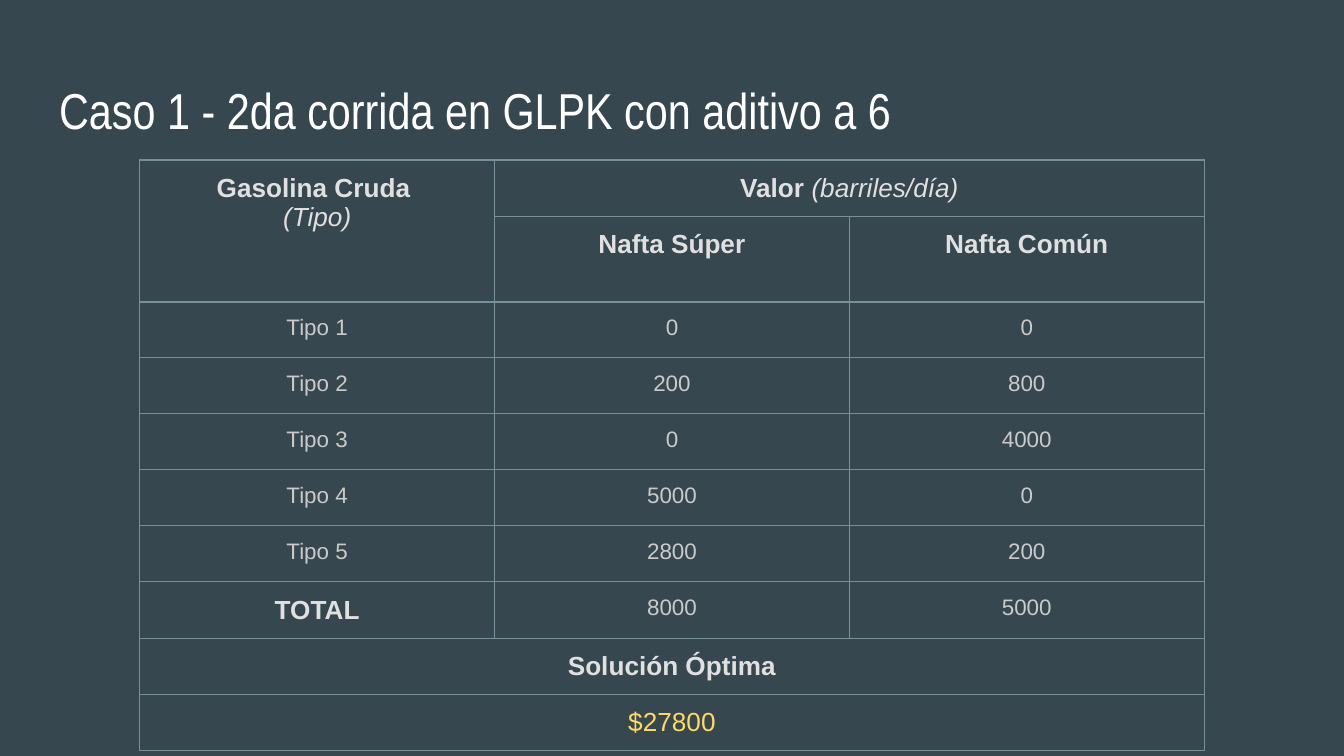
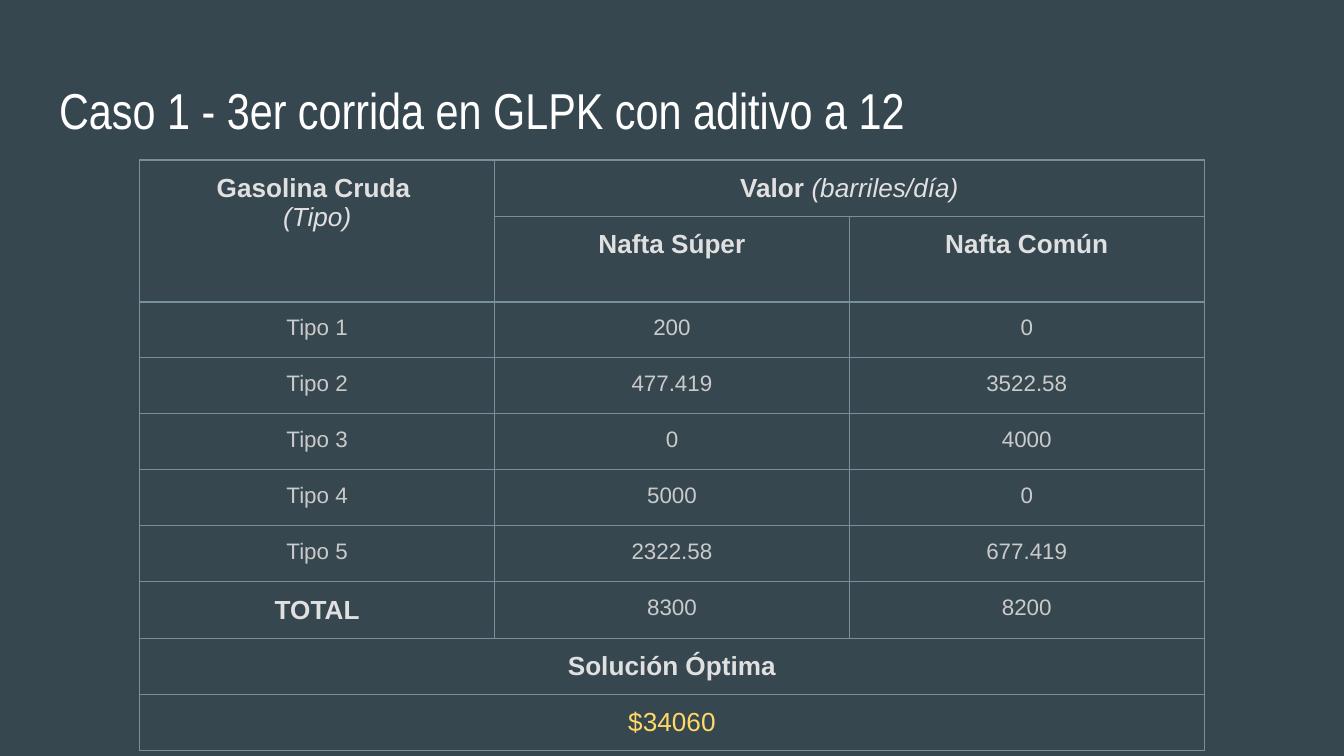
"""Builds two slides with the results of the GLPK runs."""
from lxml import etree
from pptx import Presentation
from pptx import util as u
from pptx.dml.color import RGBColor
from pptx.enum import text
from pptx.oxml import ns

COLORS = {
    "background": "37474F",
    "title": "FFFFFF",
    "heading": "E0E0E0",
    "body": "CACACA",
    "result": "FFD966",
    "border": "78909C",
}
TITLE_FONT, TABLE_FONT = "Arial Narrow", "Arial"
SLIDE_WIDTH, SLIDE_HEIGHT = u.Inches(10), u.Inches(10 * 9 / 16)
MARGIN = u.Inches(0.1)
COLUMN_WIDTH, ROW_HEIGHT = u.Inches(2.64), u.Inches(5 / 12)
COLUMN_COUNT, ROW_COUNT = 3, 10
RUNS = [
    {
        "title": "Caso 1 - 2da corrida en GLPK con aditivo a 6",
        "types": [("0", "0"), ("200", "800"), ("0", "4000"), ("5000", "0"), ("2800", "200")],
        "total": ("8000", "5000"),
        "optimum": "$27800",
    },
    {
        "title": "Caso 1 - 3er corrida en GLPK con aditivo a 12",
        "types": [("200", "0"), ("477.419", "3522.58"), ("0", "4000"), ("5000", "0"),
                  ("2322.58", "677.419")],
        "total": ("8300", "8200"),
        "optimum": "$34060",
    },
]


def add_run(paragraph, wording, size, color, font_name=TABLE_FONT, bold=False, italic=False):
    """Append one formatted run to a paragraph."""
    run = paragraph.add_run()
    run.text = wording
    run.font.name, run.font.size = font_name, u.Pt(size)
    run.font.bold, run.font.italic = bold, italic
    run.font.color.rgb = RGBColor.from_string(COLORS[color])


def set_margins(target, margin):
    """Give a cell or text frame the same margin on all sides."""
    target.margin_left = target.margin_right = margin
    target.margin_top = target.margin_bottom = margin


def add_title(slide, wording):
    """Place and fill the title placeholder."""
    title = slide.shapes.title
    title.left, title.top = u.Inches(0.34), u.Inches(0.49)
    title.width, title.height = u.Inches(9.32), u.Inches(0.63)
    frame = title.text_frame
    set_margins(frame, MARGIN)
    frame.word_wrap = True
    frame.auto_size = text.MSO_AUTO_SIZE.NONE
    frame.vertical_anchor = text.MSO_ANCHOR.TOP
    paragraph = frame.paragraphs[0]
    paragraph.alignment = text.PP_ALIGN.LEFT
    add_run(paragraph, wording, 27, "title", TITLE_FONT)


def format_cell(cell):
    """Clear the fill and draw the four borders of a cell."""
    set_margins(cell, 0 if cell.is_spanned else MARGIN)
    properties = cell._tc.get_or_add_tcPr()
    for side in ("a:lnL", "a:lnR", "a:lnT", "a:lnB"):
        line = etree.SubElement(properties, ns.qn(side), w=str(u.Pt(0.75)))
        fill = etree.SubElement(line, ns.qn("a:solidFill"))
        etree.SubElement(fill, ns.qn("a:srgbClr"), val=COLORS["border"])
    cell.fill.background()


def write_cell(cell, *lines, size=14, color="heading"):
    """Write centred lines, each a list of (wording, style) runs."""
    frame = cell.text_frame
    for index, line in enumerate(lines):
        paragraph = frame.add_paragraph() if index else frame.paragraphs[0]
        paragraph.alignment = text.PP_ALIGN.CENTER
        for wording, style in line:
            add_run(paragraph, wording, size, color, bold=style == "bold", italic=style == "italic")


def write_values(table, row, values, first_column):
    """Write plain values in a row from the given column on."""
    for column, value in enumerate(values, first_column):
        write_cell(table.cell(row, column), [(value, "plain")], size=12, color="body")


def add_results_table(slide, results):
    """Add the table of one run, with its headings, values and optimum."""
    table = slide.shapes.add_table(
        ROW_COUNT, COLUMN_COUNT, u.Inches(1.04), u.Inches(1.19),
        COLUMN_WIDTH * COLUMN_COUNT, ROW_HEIGHT * ROW_COUNT).table
    table.first_row = table.horz_banding = False
    for column in table.columns:
        column.width = COLUMN_WIDTH
    for row in table.rows:
        row.height = ROW_HEIGHT
    for start, end in (((0, 0), (1, 0)), ((0, 1), (0, 2)), ((8, 0), (8, 2)), ((9, 0), (9, 2))):
        table.cell(*start).merge(table.cell(*end))
    for cell in table.iter_cells():
        format_cell(cell)

    write_cell(table.cell(0, 0), [("Gasolina Cruda ", "bold")], [("(Tipo)", "italic")])
    write_cell(table.cell(0, 1), [("Valor ", "bold"), ("(barriles/día)", "italic")])
    headings = {(1, 1): "Nafta Súper", (1, 2): "Nafta Común",
                (7, 0): "TOTAL", (8, 0): "Solución Óptima"}
    for position, heading in headings.items():
        write_cell(table.cell(*position), [(heading, "bold")])
    for number, values in enumerate(results["types"], 1):
        write_values(table, number + 1, (f"Tipo {number}", *values), 0)
    write_values(table, 7, results["total"], 1)
    write_cell(table.cell(9, 0), [(results["optimum"], "plain")], color="result")


def main():
    """Build and save the presentation."""
    presentation = Presentation()
    presentation.slide_width, presentation.slide_height = SLIDE_WIDTH, SLIDE_HEIGHT
    background = presentation.slide_master.background.fill
    background.solid()
    background.fore_color.rgb = RGBColor.from_string(COLORS["background"])
    for results in RUNS:
        slide = presentation.slides.add_slide(presentation.slide_layouts[5])
        add_title(slide, results["title"])
        add_results_table(slide, results)
    presentation.save("out.pptx")


if __name__ == "__main__":
    main()
